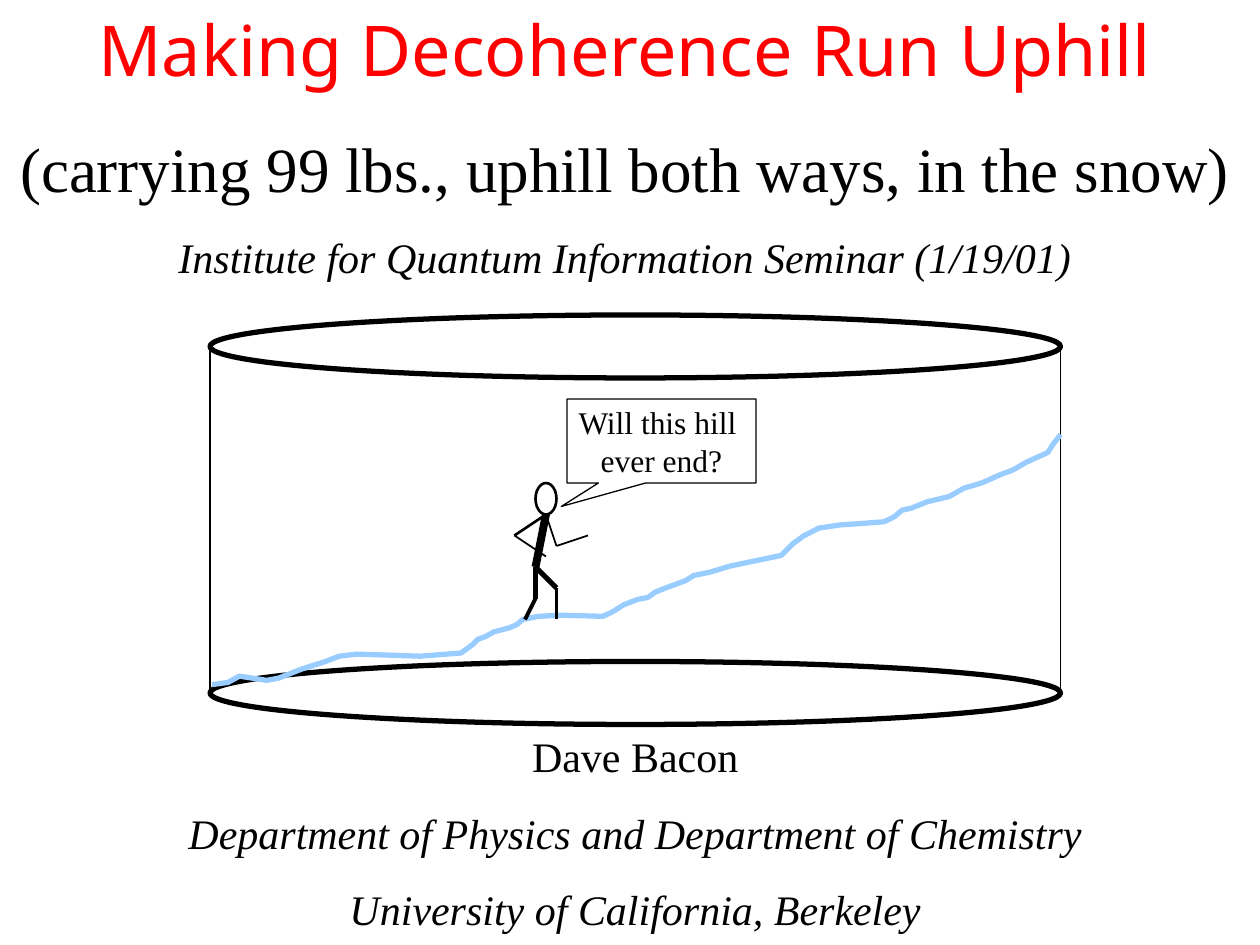
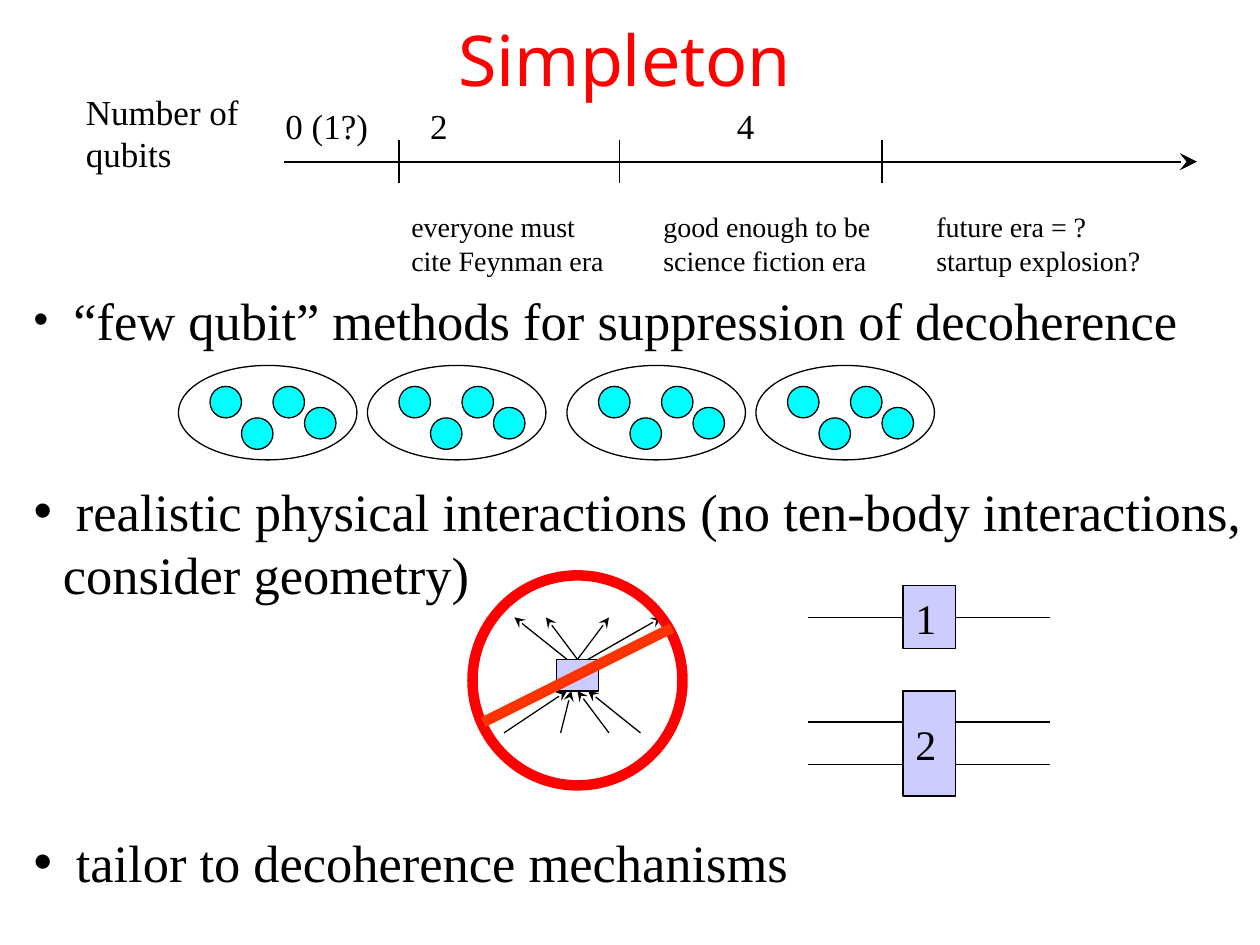
from itertools import product

from pptx import Presentation
from pptx.dml.color import RGBColor
from pptx.enum.shapes import MSO_CONNECTOR, MSO_SHAPE
from pptx.enum.text import MSO_ANCHOR, MSO_AUTO_SIZE, PP_ALIGN
from pptx.oxml.ns import qn
from pptx.util import Cm, Pt

COLORS = {"black": "000000", "white": "FFFFFF", "red": "FF0000", "slash": "FF3300",
          "snow": "99CCFF", "qubit": "00FFFF", "gate": "CCCCFF"}
SERIF, SANS = "Times New Roman", "Noto Sans"
GRID = 2.54 / 12

SUBTITLE = [
    ("(carrying 99 lbs., uphill both ways, in the snow)", {"size": 36, "before": 22.5}),
    ("Institute for Quantum Information Seminar (1/19/01)", {"italic": True, "before": 15}),
]
AUTHOR = [
    ("Dave Bacon", {}),
    ("Department of Physics and Department of Chemistry", {"italic": True, "before": 15}),
    ("University of California, Berkeley", {"italic": True, "before": 15}),
]
HILL = [
    (20.2, 65.2), (21.7, 65), (22.8, 64.4), (25.4, 64.8), (26.5, 64.6), (28.8, 63.7),
    (31, 63), (32.3, 62.5), (34, 62.3), (37.1, 62.4), (40, 62.5), (43.9, 62.2),
    (45, 61.4), (45.5, 60.9), (46.3, 60.6), (47, 60.2), (48.5, 59.8), (49.2, 59.5),
    (49.8, 59), (51.3, 58.7), (53.5, 58.6), (57.4, 58.7), (58.3, 58.3), (59.4, 57.6),
    (60.7, 57.1), (61.7, 56.9), (62.4, 56.4), (63.4, 56), (65.3, 55.3), (66.1, 54.8),
    (67.6, 54.5), (69.6, 53.9), (74.4, 52.9), (75.5, 51.8), (76.6, 51), (78, 50.3),
    (80, 50), (81.5, 49.9), (84.2, 49.7), (85.2, 49.2), (85.9, 48.6), (86.8, 48.4),
    (88.3, 47.8), (90.4, 47.3), (91.8, 46.5), (93.5, 46), (95.3, 45.2), (96.4, 44.8),
    (97.8, 44), (99.8, 43.1), (100.3, 42.3), (101, 41.4),
]
HIKER = [
    ((51, 54), (53, 56), 3), ((53, 56), (53, 59), 2.25),
    ((51, 54), (51, 57), 3), ((51, 57), (50, 59), 2.25),
    ((51, 54), (52, 49), 4.5),
    ((52, 49), (49, 51), 1.5), ((49, 51), (52, 53), 1),
    ((52, 49), (53, 52), 1), ((53, 52), (56, 51), 1),
]

BULLETS = [
    (" “few qubit” methods for suppression of decoherence", {"lead_size": 24}),
    (" realistic physical interactions (no ten-body interactions, consider geometry)",
     {"before": 73.4}),
    (" tailor to decoherence mechanisms", {"before": 128.4}),
]
TICKS = [38, 59, 84]
COUNTS = [("0 (1?)", 26, 13), ("2", 39.8, 4.1), ("4", 69, 4.1)]
ERAS = [
    ("everyone must cite Feynman era", 38, 22),
    ("good enough to be science fiction era", 62, 23),
    ("future era = ?\nstartup explosion?", 88, 24),
]
CLUSTERS = [17, 35, 54, 72]
QUBITS = [(3, 2), (9, 2), (6, 5), (12, 4)]
ARROWS_IN = [(48, 54), (53.4, 54.4), (58, 55), (61, 56)]
ARROWS_OUT = [(56, 63), (55, 58), (55, 52), (54, 49)]
GATES = [("1", 55.8, 6, [58.8]), ("2", 65.8, 10, [68.8, 72.8])]


def u(v):
    return Cm(v * GRID)


def rgb(name):
    return RGBColor.from_string(COLORS[name])


def add_text(p, text, size, fmt):
    for i, part in enumerate(text.split("\n")):
        if i:
            p.add_line_break()
        r = p.add_run()
        r.text = part
        r.font.size = Pt(size)
        r.font.name = fmt["font"]
        r.font.italic = fmt["italic"]
        r.font.color.rgb = rgb(fmt["color"])


def write(sp, lines, anchor=MSO_ANCHOR.TOP, wrap=True, **base):
    tf = sp.text_frame
    tf.auto_size = MSO_AUTO_SIZE.NONE
    tf.word_wrap = wrap
    tf.vertical_anchor = anchor
    for i, line in enumerate(lines):
        text, own = (line, {}) if isinstance(line, str) else line
        fmt = {"size": 24, "font": SERIF, "color": "black", "align": PP_ALIGN.LEFT,
               "before": 0, "italic": False, "bullet": False, "lead_size": None,
               **base, **own}
        p = tf.paragraphs[0] if i == 0 else tf.add_paragraph()
        p.alignment = fmt["align"]
        p.space_before = Pt(fmt["before"])
        if fmt["bullet"]:
            pPr = p._p.get_or_add_pPr()
            pPr.set("marL", str(Cm(0.59)))
            pPr.set("indent", str(-Cm(0.59)))
            pPr.append(pPr.makeelement(qn("a:buChar"), {"char": "•"}))
        if fmt["lead_size"]:
            add_text(p, text[0], fmt["lead_size"], fmt)
            text = text[1:]
        add_text(p, text, fmt["size"], fmt)


def place(sp, x, y, w, h):
    sp.left, sp.top, sp.width, sp.height = u(x), u(y), u(w), u(h)
    return sp


def title(s, text, y, h, below=()):
    heading = (text, {"size": 40, "font": SANS, "color": "red"})
    write(place(s.shapes.title, 0, y, 119, h), [heading, *below], align=PP_ALIGN.CENTER)


def label(s, lines, x, y, w, h, **fmt):
    write(s.shapes.add_textbox(u(x), u(y), u(w), u(h)), lines, **fmt)


def style(sp, fill, line, width):
    sp.shadow.inherit = False
    if fill:
        sp.fill.solid()
        sp.fill.fore_color.rgb = rgb(fill)
    else:
        sp.fill.background()
    sp.line.color.rgb = rgb(line)
    sp.line.width = Pt(width)
    return sp


def shape(s, kind, x, y, w, h, fill=None, line="black", width=0.75):
    return style(s.shapes.add_shape(kind, u(x), u(y), u(w), u(h)), fill, line, width)


def connect(s, start, end, width=0.75, color="black", arrow=None, begin_at=None, end_at=None):
    c = s.shapes.add_connector(MSO_CONNECTOR.STRAIGHT, *map(u, start + end))
    c.line.color.rgb = rgb(color)
    c.line.width = Pt(width)
    if begin_at:
        c.begin_connect(*begin_at)
    if end_at:
        c.end_connect(*end_at)
    if arrow:
        ln = c.line._get_or_add_ln()
        ln.append(ln.makeelement(qn("a:tailEnd"), {"type": "stealth", "w": arrow, "len": arrow}))
    spPr = c._element.spPr
    spPr.append(spPr.makeelement(qn("a:effectLst"), {}))


def opening_slide(prs):
    s = prs.slides.add_slide(prs.slide_layouts[5])
    title(s, "Making Decoherence Run Uphill", 0, 27.5, SUBTITLE)

    for y in (30, 63):
        shape(s, MSO_SHAPE.OVAL, 20, y, 81, 6, width=3)
    for x in (101, 20):
        connect(s, (x, 33), (x, 66))

    first, *rest = [(u(x), u(y)) for x, y in HILL]
    fb = s.shapes.build_freeform(*first)
    fb.add_line_segments(rest, close=False)
    style(fb.convert_to_shape(), None, "snow", 3)

    for start, end, width in HIKER:
        connect(s, start, end, width)
    shape(s, MSO_SHAPE.OVAL, 51, 46, 2, 3, "white", width=1.5)
    bubble = shape(s, MSO_SHAPE.RECTANGULAR_CALLOUT, 54, 38, 18, 8, "white")
    bubble.adjustments[0], bubble.adjustments[1] = -0.53, 0.78
    write(bubble, ["Will this hill ", "ever end?"], MSO_ANCHOR.MIDDLE, False,
          size=18, align=PP_ALIGN.CENTER)
    label(s, AUTHOR, 8, 69, 105, 20.6, align=PP_ALIGN.CENTER)


def timeline(s):
    connect(s, (27, 15.4), (114, 15.4), 1, arrow="lg")
    for x in TICKS:
        connect(s, (x, 13.3), (x, 17.4))
    for text, x, w in COUNTS:
        label(s, [text], x, 9.4, w, 5.3, size=20)
    for text, x, w in ERAS:
        label(s, [text], x, 19.4, w, 7.7, size=16)
    label(s, ["Number of qubits"], 7, 8, 19, 9.2, size=20)


def forbidden_interaction(s):
    box = shape(s, MSO_SHAPE.RECTANGLE, 53, 62.8, 4, 3, "gate")
    middle = 55
    for x1, x2 in ARROWS_IN:
        connect(s, (x1, 69.8), (x2, 65.8), arrow="med",
                end_at=(box, 2) if x2 == middle else None)
    for x1, x2 in ARROWS_OUT:
        connect(s, (x1, 62.8), (x2, 58.8), arrow="med",
                begin_at=(box, 0) if x1 == middle else None)
    shape(s, MSO_SHAPE.OVAL, 45, 54.8, 20, 20, line="red", width=6)
    connect(s, (46, 68.8), (64, 59.8), 6, "slash")


def gates(s):
    for text, y, h, wires in GATES:
        gate = shape(s, MSO_SHAPE.RECTANGLE, 86, y, 5, h, "gate")
        for wire in wires:
            centred = len(wires) == 1
            connect(s, (77, wire), (86, wire), 1, end_at=(gate, 1) if centred else None)
            connect(s, (91, wire), (100, wire), 1, begin_at=(gate, 3) if centred else None)
        label(s, [text], 86, y + h / 2 - 3, 6, 6)


def simpleton_slide(prs):
    s = prs.slides.add_slide(prs.slide_layouts[1])
    title(s, "Simpleton", 1, 9.2)
    write(place(s.placeholders[1], 2, 26.8, 118, 58.8), BULLETS, size=30, bullet=True)
    for x in CLUSTERS:
        shape(s, MSO_SHAPE.OVAL, x, 34.8, 17, 9)
    for x, (dx, dy) in product(CLUSTERS, QUBITS):
        shape(s, MSO_SHAPE.OVAL, x + dx, 34.8 + dy, 3, 3, "qubit")
    forbidden_interaction(s)
    gates(s)
    timeline(s)


def main():
    prs = Presentation()
    prs.slide_width, prs.slide_height = u(120), u(90)
    opening_slide(prs)
    simpleton_slide(prs)
    prs.save("out.pptx")


if __name__ == "__main__":
    main()
